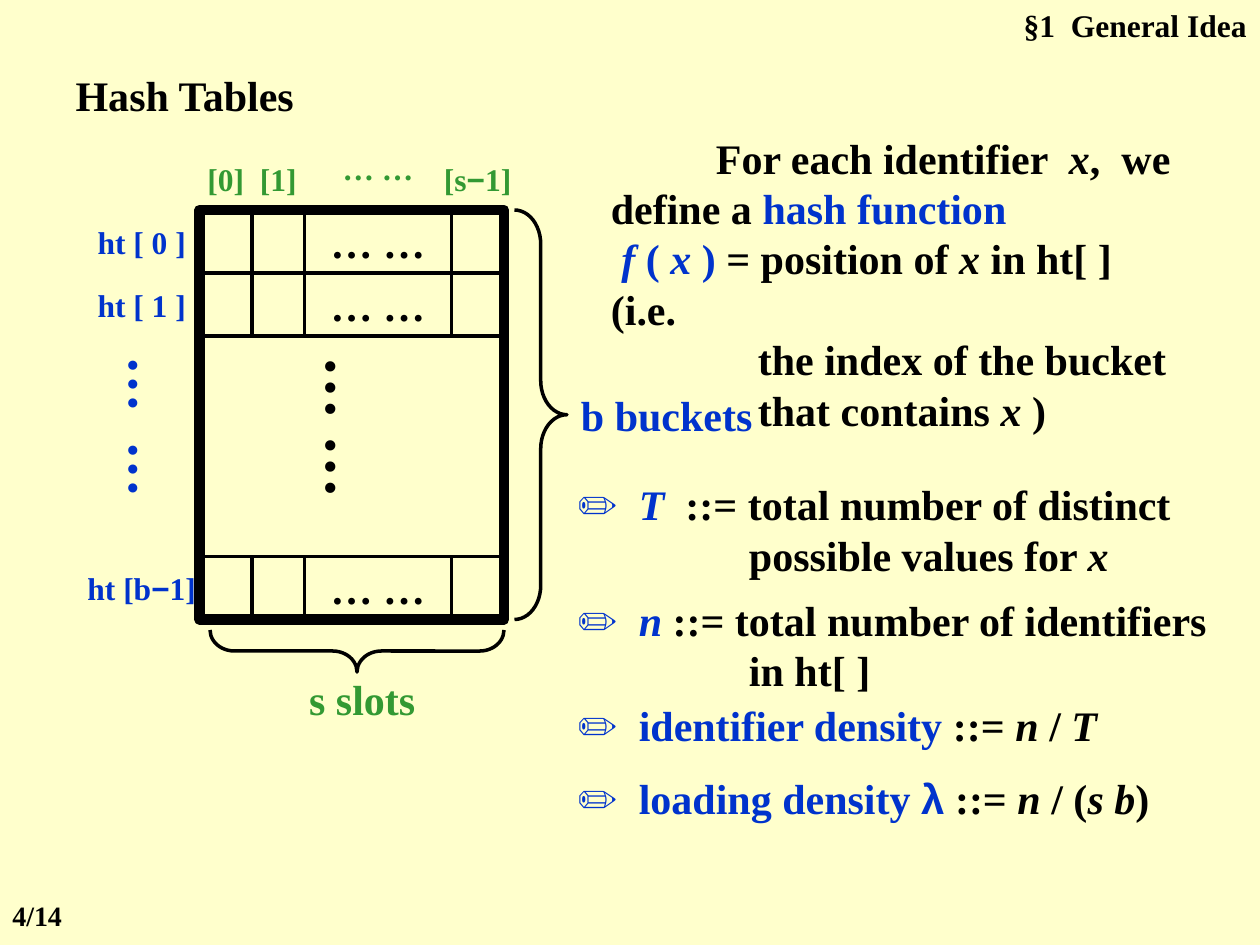
"""Build the slide that introduces hash tables, hash functions and densities."""
from pptx import Presentation
from pptx.dml.color import RGBColor
from pptx.enum.shapes import MSO_SHAPE
from pptx.enum.text import MSO_ANCHOR, MSO_AUTO_SIZE, PP_ALIGN
from pptx.util import Pt

RECTANGLE, BRACE = MSO_SHAPE.RECTANGLE, MSO_SHAPE.RIGHT_BRACE
TOP, MIDDLE = MSO_ANCHOR.TOP, MSO_ANCHOR.MIDDLE
LEFT, CENTER, RIGHT = PP_ALIGN.LEFT, PP_ALIGN.CENTER, PP_ALIGN.RIGHT
NO_FIT = MSO_AUTO_SIZE.NONE
BLACK, BLUE, GREEN, CREAM = "000000", "0033CC", "339933", "FFFFCC"
SERIF, SANS = "Times New Roman", "Arial"


def write(shape, *paragraphs, size=24, color=BLACK, align=CENTER, anchor=MIDDLE,
          wrap=False, margins=(7.2, 3.6, 7.2, 3.6), indents=(), vertical=False):
    """Fill a shape with paragraphs, each a list of strings or (text, format) pairs."""
    frame = shape.text_frame
    frame.auto_size = NO_FIT
    frame.word_wrap = wrap
    frame.vertical_anchor = anchor
    (frame.margin_left, frame.margin_top,
     frame.margin_right, frame.margin_bottom) = map(Pt, margins)
    if vertical:
        frame._txBody.bodyPr.set("vert", "eaVert")
    for index, pieces in enumerate(paragraphs):
        paragraph = frame.add_paragraph() if index else frame.paragraphs[0]
        paragraph.alignment = align
        if indents:
            margin, first_line = indents[index]
            properties = paragraph._p.get_or_add_pPr()
            properties.set("marL", str(Pt(margin)))
            properties.set("indent", str(Pt(first_line)))
        for piece in pieces:
            text, style = (piece, {}) if isinstance(piece, str) else piece
            run = paragraph.add_run()
            run.text = text
            run.font.name = style.get("font", SERIF)
            run.font.size = Pt(size)
            run.font.bold = True
            run.font.italic = style.get("italic", False)
            run.font.color.rgb = RGBColor.from_string(style.get("color", color))


def outlined(preset, bounds, weight):
    """Add an unfilled black outline."""
    shape = slide.shapes.add_shape(preset, *map(Pt, bounds))
    shape.shadow.inherit = False
    shape.fill.background()
    shape.line.color.rgb = RGBColor.from_string(BLACK)
    shape.line.width = Pt(weight)
    return shape


deck = Presentation()
deck.slide_width, deck.slide_height = Pt(720), Pt(540)
slide = deck.slides.add_slide(deck.slide_layouts[5])
background = slide.background.fill
background.solid()
background.fore_color.rgb = RGBColor.from_string(CREAM)

title = slide.shapes.title
title.left, title.top, title.width, title.height = map(Pt, (36, 36, 240, 36))
write(title, ["Hash Tables"], align=LEFT, anchor=TOP, wrap=True)

italic = {"italic": True}
blue = {"color": BLUE}
blue_italic = {"color": BLUE, "italic": True}
minus = ("−", {"font": SANS})
pencil = ("✏", {"font": SANS, "color": BLUE})

column_edges = (114, 144, 174, 258, 288)
columns = list(zip(column_edges, column_edges[1:]))
slot_labels = (["[0]"], ["[1]"], ["… …"], ["[s", minus, "1]"])
for slot, ((left, right), label) in enumerate(zip(columns, slot_labels)):
    label_top = 84 if slot == 2 else 90
    heading = slide.shapes.add_textbox(Pt(left), Pt(label_top), Pt(right - left), Pt(24))
    write(heading, label, size=18, color=GREEN)

bucket_labels = {120: ["ht [ 0 ]"], 156: ["ht [ 1 ]"], 318: ["ht [b", minus, "1]"]}
for top, label in bucket_labels.items():
    for slot, (left, right) in enumerate(columns):
        cell = outlined(RECTANGLE, (left, top, right - left, 36), 2)
        if slot == 2:
            write(cell, ["… …"])
    bucket = slide.shapes.add_textbox(Pt(48), Pt(top + 6), Pt(66), Pt(24))
    write(bucket, label, size=18, color=BLUE)

outlined(RECTANGLE, (114, 120, 174, 234), 6)
omitted_rows = ((72, 30, "…  …", 32, BLUE), (114, 174, "… …", 36, BLACK))
for left, width, dots, size, color in omitted_rows:
    omitted = slide.shapes.add_textbox(Pt(left), Pt(204), Pt(width), Pt(108))
    write(omitted, [dots], size=size, color=color, margins=(3.6, 0, 3.6, 0), vertical=True)

braces = (
    ((294, 120, 30, 234), 0, 0.65, (324, 216, 114, 42), "b buckets", BLUE),
    ((192, 288, 24, 168), 90, 0.58, (150, 384, 114, 30), "s slots", GREEN),
)
for bounds, rotation, curve, caption_bounds, caption, color in braces:
    brace = outlined(BRACE, bounds, 2)
    brace.rotation = rotation
    brace.adjustments[0] = curve
    write(slide.shapes.add_textbox(*map(Pt, caption_bounds)), [caption], color=color)

hash_function = slide.shapes.add_textbox(Pt(342), Pt(72), Pt(342), Pt(180))
write(
    hash_function,
    ["For each identifier  ", ("x", italic), ",  we define a ", ("hash function", blue)],
    [" ", ("f", blue_italic), (" ( ", blue), ("x", blue_italic), (" )", blue),
     " = position of ", ("x", italic), " in ht[ ] (i.e."],
    ["the index of the bucket"],
    ["that contains ", ("x", italic), " )"],
    align=LEFT, anchor=TOP, wrap=True, indents=((0, 60), (0, 0), (84, 0), (84, 0)),
)

definitions = (
    (270, 65, [("  T", blue_italic),
               "  ::= total number of distinct possible values for ", ("x", italic)]),
    (336, 65, [("  n", blue_italic), " ::= total number of identifiers in ht[ ]"]),
    (396, 36, [("  identifier density", blue), " ::= ", ("n ", italic), "/ ", ("T", italic)]),
    (438, 36, [("  loading density ", blue), ("λ", {"font": SANS, "color": BLUE}),
               " ::= ", ("n ", italic), "/ (", ("s b", italic), ")"]),
)
for top, height, meaning in definitions:
    definition = slide.shapes.add_textbox(Pt(330), Pt(top), Pt(366), Pt(height))
    write(definition, [pencil, *meaning], align=LEFT, anchor=TOP, wrap=True,
          margins=(0, 3.6, 0, 3.6), indents=((98, -98),))

section = slide.shapes.add_textbox(Pt(546), Pt(0), Pt(173.5), Pt(29))
write(section, ["§1  General Idea"], size=18, align=RIGHT, anchor=TOP, wrap=True)
page = slide.shapes.add_textbox(Pt(0), Pt(510), Pt(78), Pt(26.5))
write(page, ["4/14"], size=16, align=LEFT, anchor=TOP, wrap=True)

deck.save("out.pptx")
